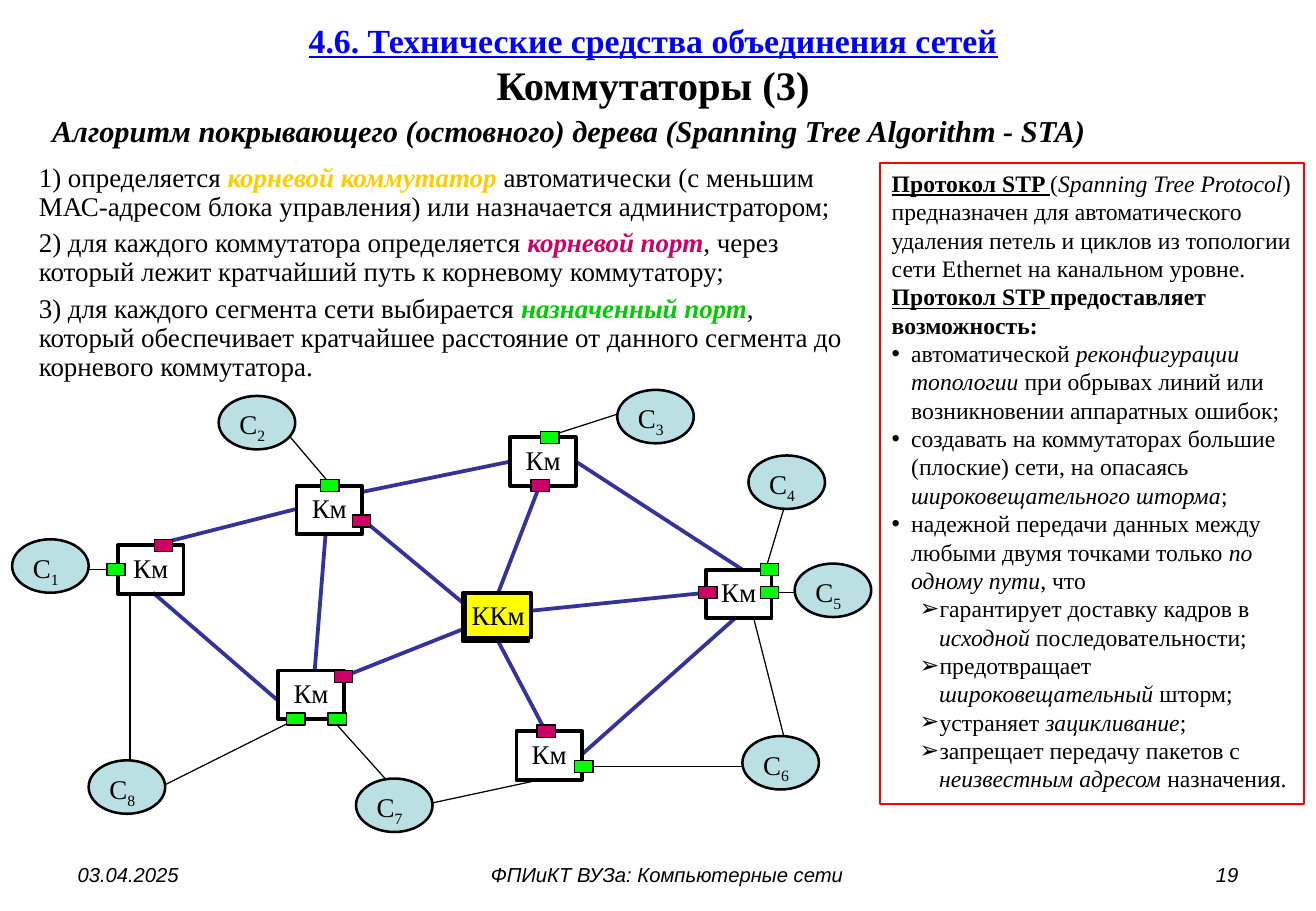
from lxml import etree
from pptx import Presentation
from pptx.dml.color import RGBColor
from pptx.enum.shapes import MSO_CONNECTOR, MSO_SHAPE
from pptx.enum.text import MSO_ANCHOR, PP_ALIGN
from pptx.oxml.ns import qn
from pptx.util import Pt

PX = 9144
LEFT, CENTER, RIGHT = PP_ALIGN.LEFT, PP_ALIGN.CENTER, PP_ALIGN.RIGHT
TOP, MIDDLE = MSO_ANCHOR.TOP, MSO_ANCHOR.MIDDLE
RECTANGLE, OVAL = MSO_SHAPE.RECTANGLE, MSO_SHAPE.OVAL
STRAIGHT = MSO_CONNECTOR.STRAIGHT
SERIF, SANS = "Times New Roman", "Arial"

COLORS = {
    "black": "000000", "title": "0000FF", "trunk": "333399", "client": "BBE0E3",
    "root": "FFFF00", "root_text": "FFCC00", "root_port": "CC0066",
    "designated_port": "00FF00", "designated_text": "00CC00", "frame": "FF0000",
}

STEPS = [
    (134, 51, [("1) определяется ", ""), ("корневой коммутатор ", "bi", "root_text"),
               ("автоматически (с меньшим МАС-адресом блока управления) "
                "или назначается администратором;", "")]),
    (188, 51, [("2) для каждого коммутатора определяется ", ""),
               ("корневой порт", "bi", "root_port"),
               (", через который лежит кратчайший путь к корневому коммутатору;", "")]),
    (242, 75, [("3) для каждого сегмента сети выбирается ", ""),
               ("назначенный порт", "bi", "designated_text"),
               (", который обеспечивает кратчайшее расстояние от данного сегмента "
                "до корневого коммутатора.", "")]),
]

SWITCHES = [(97, 449), (229, 552), (244, 400), (381, 488),
            (420, 360), (425, 602), (581, 469)]
CLIENTS = [(10, 444), (180, 326), (508, 321), (616, 375),
           (654, 464), (611, 606), (293, 641), (73, 626)]
TRUNKS = [
    (300, 429, 383, 498), (126, 449, 244, 419), (126, 488, 229, 577),
    (298, 405, 420, 380), (268, 439, 259, 552), (283, 557, 381, 518),
    (410, 528, 449, 602), (474, 380, 611, 469), (435, 503, 581, 488),
    (479, 621, 606, 508), (444, 400, 410, 488),
]
CLIENT_LINKS = [
    (635, 488, 669, 488), (63, 469, 97, 469), (239, 360, 273, 400),
    (449, 360, 508, 341), (630, 469, 645, 419), (244, 592, 136, 646),
    (449, 641, 356, 661), (479, 631, 611, 631), (620, 508, 645, 606),
    (107, 626, 107, 488), (273, 592, 317, 641),
]
PORTS = {
    "designated_port": [(88, 464), (264, 395), (445, 355), (626, 464),
                        (626, 483), (473, 626), (236, 587), (270, 587)],
    "root_port": [(127, 444), (290, 424), (437, 395),
                  (575, 483), (442, 597), (275, 552)],
}

PROTOCOL = [
    ("", [("Протокол STP ", "bu"), ("(", ""), ("Spanning Tree Protocol", "i"),
          (") предназначен для автоматического удаления петель и циклов "
           "из топологии сети Ethernet на канальном уровне.", "")]),
    ("", [("Протокол STP ", "bu"), ("предоставляет возможность:", "b")]),
    ("•", [("автоматической ", ""), ("реконфигурации топологии ", "i"),
           ("при обрывах линий или возникновении аппаратных ошибок;", "")]),
    ("•", [("создавать на коммутаторах большие (плоские) сети, на опасаясь ", ""),
           ("широковещательного шторма", "i"), (";", "")]),
    ("•", [("надежной передачи данных между любыми двумя точками только ", ""),
           ("по одному пути", "i"), (", что", "")]),
    ("➢", [("гарантирует доставку кадров в ", ""), ("исходной", "i"),
           (" последовательности;", "")]),
    ("➢", [("предотвращает ", ""), ("широковещательный", "i"), (" шторм;", "")]),
    ("➢", [("устраняет ", ""), ("зацикливание", "i"), (";", "")]),
    ("➢", [("запрещает передачу пакетов с ", ""), ("неизвестным адресом ", "i"),
           ("назначения.", "")]),
]
BULLET_MARGINS = {"•": 16, "➢": 39}


def color(name):
    return RGBColor.from_string(COLORS[name])


def box(values):
    return [value * PX for value in values]


def add_run(paragraph, text, style="", color_name="black", size=16, font=SERIF):
    run = paragraph.add_run()
    run.text = text
    run.font.name, run.font.size = font, Pt(size)
    run.font.bold, run.font.italic = "b" in style, "i" in style
    run.font.underline = "u" in style
    run.font.color.rgb = color(color_name)
    return run


def set_frame(shape, insets=(10, 5), anchor=TOP, wrap=True):
    frame = shape.text_frame
    frame.margin_left = frame.margin_right = insets[0] * PX
    frame.margin_top = frame.margin_bottom = insets[1] * PX
    frame.vertical_anchor, frame.word_wrap = anchor, wrap
    return frame


def add_text(slide, place, runs, size=16, font=SERIF, align=LEFT,
             insets=(2, 1), spacing=1.0):
    frame = set_frame(slide.shapes.add_textbox(*box(place)), insets)
    paragraph = frame.paragraphs[0]
    paragraph.alignment, paragraph.line_spacing = align, spacing
    return [add_run(paragraph, *run, size=size, font=font) for run in runs]


def add_outline(slide, kind, place, fill=None, line="black", width=2.25):
    shape = slide.shapes.add_shape(kind, *box(place))
    shape.shadow.inherit = False
    if fill:
        shape.fill.solid()
        shape.fill.fore_color.rgb = color(fill)
    else:
        shape.fill.background()
    shape.line.color.rgb = color(line)
    shape.line.width = Pt(width)
    return shape


def add_switch(slide, place, label, fill=None):
    frame = set_frame(add_outline(slide, RECTANGLE, place, fill), (2, 5), wrap=False)
    paragraph = frame.paragraphs[0]
    paragraph.alignment = CENTER
    add_run(paragraph, label)


def add_client(slide, left, top, number):
    add_outline(slide, OVAL, (left, top, 63, 44), "client", width=1.5)
    runs = add_text(slide, (left + 15, top + 5, 39, 37),
                    [("С", ""), (str(number), "")], insets=(2, 5))
    runs[1].font._element.set("baseline", "-25000")


def add_link(slide, ends, line, width):
    link = slide.shapes.add_connector(STRAIGHT, *box(ends))
    link.line.color.rgb = color(line)
    link.line.width = Pt(width)
    etree.SubElement(link._element.spPr, qn("a:effectLst"))


def add_bullet(paragraph, character):
    properties = paragraph._p.get_or_add_pPr()
    properties.set("marL", str(BULLET_MARGINS[character] * PX))
    properties.set("indent", str(-16 * PX))
    etree.SubElement(properties, qn("a:buFont")).set("typeface", SANS)
    etree.SubElement(properties, qn("a:buChar")).set("char", character)


def add_title(slide):
    frame = set_frame(slide.shapes.add_textbox(*box((14, 6, 1047, 94))), anchor=MIDDLE)
    paragraph = frame.paragraphs[0]
    paragraph.alignment = CENTER
    add_run(paragraph, "4.6. Технические средства объединения сетей", "bu", "title", 20)
    paragraph.add_line_break()
    add_run(paragraph, "Коммутаторы (3)", "b", size=24)


def add_protocol(slide):
    shape = add_outline(slide, RECTANGLE, (724, 134, 349, 528), line="frame", width=1.5)
    frame = set_frame(shape)
    for index, (bullet, runs) in enumerate(PROTOCOL):
        paragraph = frame.add_paragraph() if index else frame.paragraphs[0]
        paragraph.alignment = LEFT
        if bullet:
            add_bullet(paragraph, bullet)
        for run in runs:
            add_run(paragraph, *run, size=14)


def add_network(slide):
    for ends in TRUNKS:
        add_link(slide, ends, "trunk", 2.25)
    for ends in CLIENT_LINKS:
        add_link(slide, ends, "black", 0.75)
    for left, top in SWITCHES:
        add_switch(slide, (left, top, 54, 40), "Км")
    for number, (left, top) in enumerate(CLIENTS, 1):
        add_client(slide, left, top, number)
    add_switch(slide, (383, 488, 54, 37), "ККм", "root")
    for kind, places in PORTS.items():
        for left, top in places:
            add_outline(slide, RECTANGLE, (left, top, 15, 10), kind, width=0.75)


def main():
    presentation = Presentation()
    presentation.slide_width, presentation.slide_height = box((1083, 750))
    slide = presentation.slides.add_slide(presentation.slide_layouts[6])
    add_title(slide)
    add_text(slide, (41, 91, 895, 33),
             [("Алгоритм покрывающего (остовного) дерева (Spanning Tree Algorithm - STA)",
               "bi")], size=18)
    for top, height, runs in STEPS:
        add_text(slide, (30, top, 670, height), runs, spacing=0.9)
    add_network(slide)
    for left, width, text, align in [
        (54, 253, "03.04.2025", LEFT),
        (335, 428, "ФПИиКТ ВУЗа: Компьютерные сети", CENTER),
        (776, 253, "19", RIGHT),
    ]:
        add_text(slide, (left, 705, width, 30), [(text, "i")], 12, SANS, align, (10, 5))
    add_protocol(slide)
    presentation.save("out.pptx")


if __name__ == "__main__":
    main()
